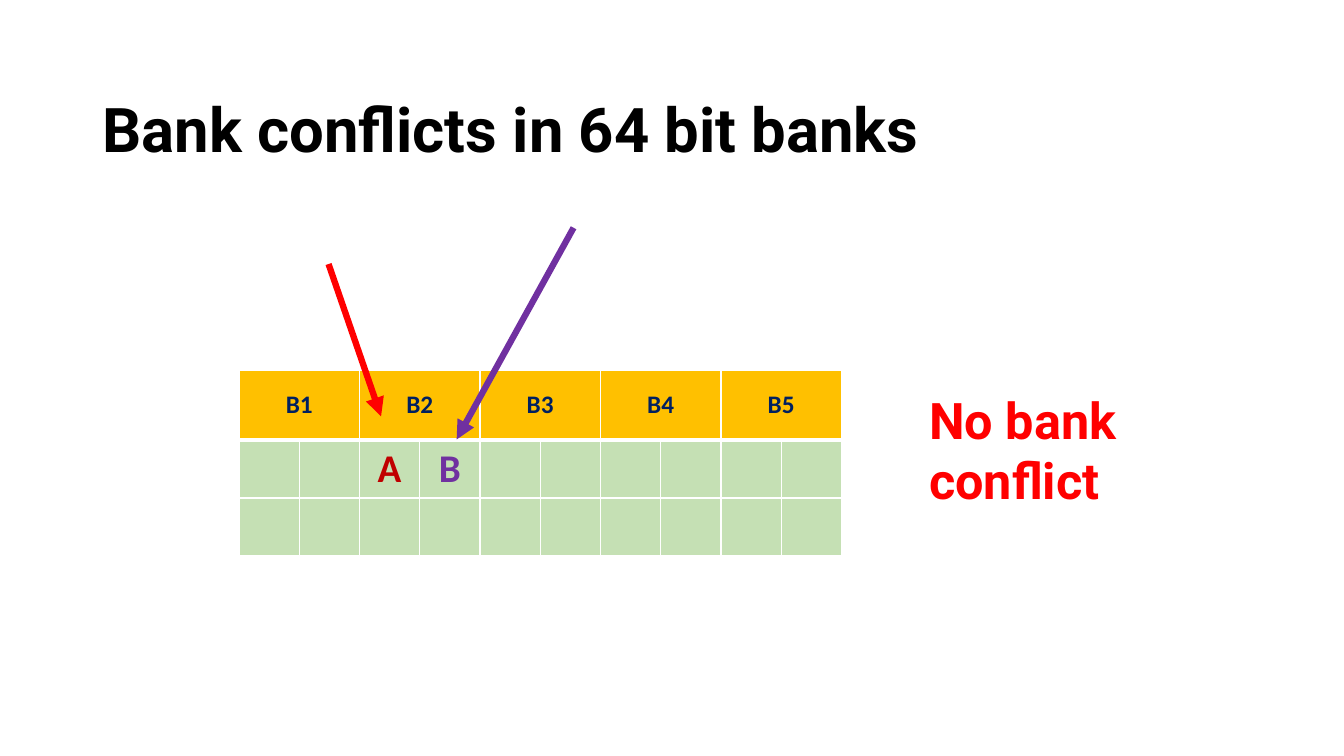
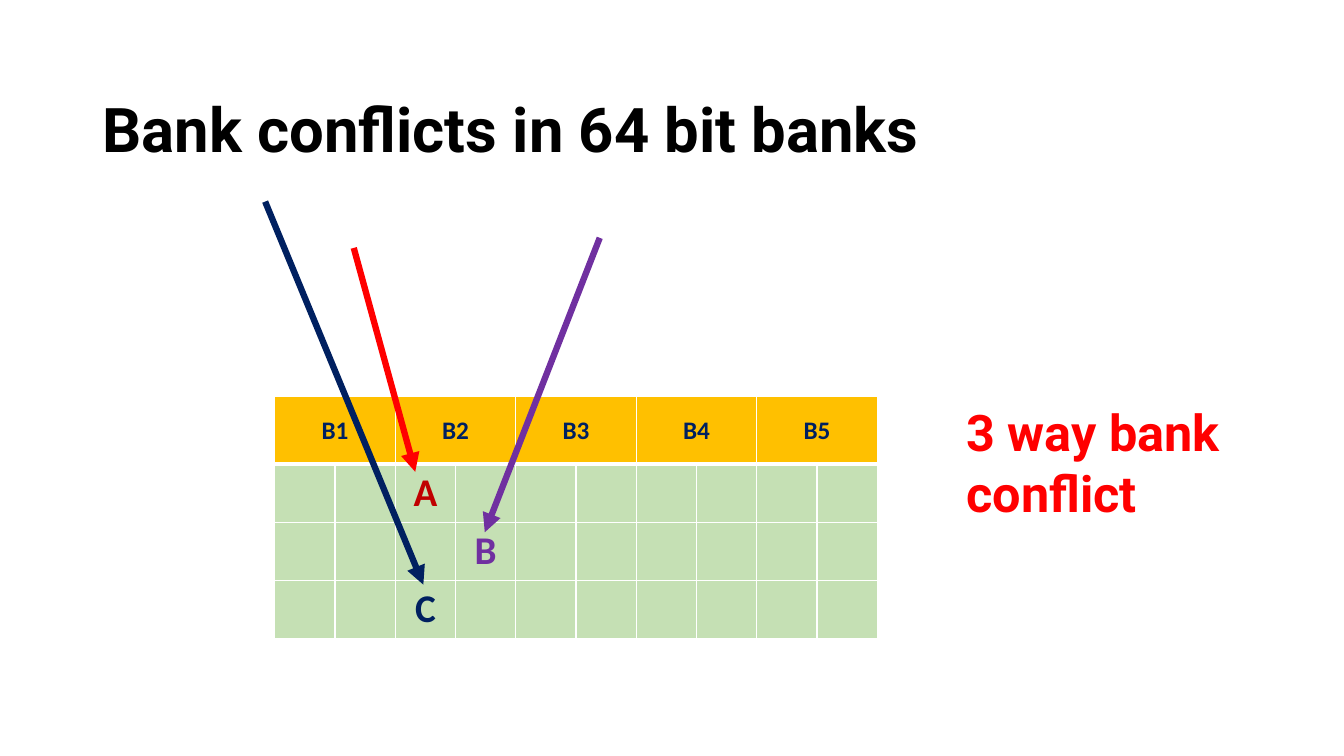
from dataclasses import dataclass

from lxml import etree
from pptx import Presentation
from pptx.dml.color import RGBColor
from pptx.enum.shapes import MSO_CONNECTOR
from pptx.enum.text import MSO_ANCHOR, MSO_AUTO_SIZE, PP_ALIGN
from pptx.oxml.ns import qn
from pptx.slide import Slide
from pptx.table import _Cell
from pptx.text.text import TextFrame
from pptx.util import Pt

STRAIGHT = MSO_CONNECTOR.STRAIGHT
LEFT, CENTER = PP_ALIGN.LEFT, PP_ALIGN.CENTER
TOP, MIDDLE = MSO_ANCHOR.TOP, MSO_ANCHOR.MIDDLE
NO_FIT, GROW = MSO_AUTO_SIZE.NONE, MSO_AUTO_SIZE.SHAPE_TO_FIT_TEXT

# Colours and fonts
BLACK = RGBColor(0x00, 0x00, 0x00)
WHITE = RGBColor(0xFF, 0xFF, 0xFF)
RED = RGBColor(0xFF, 0x00, 0x00)
CRIMSON = RGBColor(0xC0, 0x00, 0x00)
PURPLE = RGBColor(0x70, 0x30, 0xA0)
NAVY = RGBColor(0x00, 0x20, 0x60)
GOLD = RGBColor(0xFF, 0xC0, 0x00)
GREEN = RGBColor(0xC5, 0xE0, 0xB4)
HEAD_FONT, CELL_FONT = "Roboto", "Calibri"

# Grid of banks, each two words wide
TITLE = "Bank conflicts in 64 bit banks"
BANKS, WORDS = 5, 2
COL_W, ROW_H = 43.05, 41.4
THIN, THICK = 1, 3


@dataclass(frozen=True)
class Mark:
    """A letter in the grid; row 1 is the first under the header."""
    text: str
    row: int
    col: int
    color: RGBColor


@dataclass(frozen=True)
class Arrow:
    x1: float
    y1: float
    x2: float
    y2: float
    color: RGBColor


@dataclass(frozen=True)
class Case:
    left: float
    top: float
    head: float
    rows: int
    marks: list[Mark]
    arrows: list[Arrow]
    note: str
    note_at: tuple[float, float, float, float]


CASES = [
    Case(170.7, 264.3, 50, 2,
         [Mark("A", 1, 2, CRIMSON), Mark("B", 1, 3, PURPLE)],
         [Arrow(234.7, 188.6, 272.2, 297.4, RED),
          Arrow(409.7, 162.7, 326.2, 313.9, PURPLE)],
         "No bank conflict", (656.6, 274.3, 263.5, 51.1)),
    Case(196.3, 283.2, 48.5, 3,
         [Mark("A", 1, 2, CRIMSON), Mark("B", 2, 3, PURPLE),
          Mark("C", 3, 2, NAVY)],
         [Arrow(252.7, 177.1, 296.6, 337, RED),
          Arrow(428.4, 169.9, 346.3, 380.2, PURPLE),
          Arrow(189.4, 144, 302.4, 417.6, NAVY)],
         "3 way bank conflict", (683.3, 283, 263.5, 94.3)),
]


def write(frame: TextFrame, text: str, *, size: float, color: RGBColor,
          font: str = HEAD_FONT, align: PP_ALIGN = LEFT,
          spacing: float = 1.0) -> None:
    para = frame.paragraphs[0]
    para.alignment, para.line_spacing = align, spacing
    run = para.add_run()
    run.text = text
    run.font.name, run.font.size = font, Pt(size)
    run.font.bold, run.font.color.rgb = True, color


def add_title(slide: Slide) -> None:
    title = slide.shapes.title
    title.left, title.top = Pt(66), Pt(28.75)
    title.width, title.height = Pt(828), Pt(132.5)
    frame = title.text_frame
    frame.word_wrap, frame.auto_size = True, NO_FIT
    frame.vertical_anchor = MIDDLE
    write(frame, TITLE, size=44, color=BLACK, spacing=0.9)


def style_cell(cell: _Cell, fill: RGBColor, top: float, bottom: float) -> None:
    props = cell._tc.get_or_add_tcPr()
    sides = {"L": THIN, "R": THIN, "T": top, "B": bottom}
    for side, width in sides.items():
        line = etree.SubElement(props, qn(f"a:ln{side}"), w=str(Pt(width)))
        solid = etree.SubElement(line, qn("a:solidFill"))
        etree.SubElement(solid, qn("a:srgbClr"), val=str(WHITE))
    cell.fill.solid()
    cell.fill.fore_color.rgb = fill
    cell.vertical_anchor = MIDDLE


def add_grid(slide: Slide, case: Case) -> None:
    cols = BANKS * WORDS
    grid = slide.shapes.add_table(
        case.rows + 1, cols, Pt(case.left), Pt(case.top),
        Pt(cols * COL_W), Pt(case.head + case.rows * ROW_H)).table
    grid.horz_banding = False
    for col in grid.columns:
        col.width = Pt(COL_W)
    for r, row in enumerate(grid.rows):
        row.height = Pt(ROW_H if r else case.head)
        for cell in row.cells:
            style_cell(cell, GREEN if r else GOLD,
                       top=THICK if r == 1 else THIN,
                       bottom=THIN if r else THICK)
    for bank in range(BANKS):
        first = bank * WORDS
        cell = grid.cell(0, first)
        cell.merge(grid.cell(0, first + WORDS - 1))
        write(cell.text_frame, f"B{bank + 1}", size=18, color=NAVY,
              font=CELL_FONT, align=CENTER)
    for mark in case.marks:
        write(grid.cell(mark.row, mark.col).text_frame, mark.text, size=28,
              color=mark.color, font=CELL_FONT, align=CENTER)


def add_arrow(slide: Slide, arrow: Arrow) -> None:
    link = slide.shapes.add_connector(
        STRAIGHT, Pt(arrow.x1), Pt(arrow.y1), Pt(arrow.x2), Pt(arrow.y2))
    link.line.color.rgb, link.line.width = arrow.color, Pt(4.5)
    etree.SubElement(link.line._get_or_add_ln(), qn("a:tailEnd"),
                     type="triangle")
    etree.SubElement(link._element.spPr, qn("a:effectLst"))


def add_note(slide: Slide, case: Case) -> None:
    box = slide.shapes.add_textbox(*(Pt(n) for n in case.note_at))
    frame = box.text_frame
    frame.word_wrap, frame.auto_size = True, GROW
    frame.vertical_anchor = TOP
    write(frame, case.note, size=36, color=RED)


def main() -> None:
    deck = Presentation()
    deck.slide_width, deck.slide_height = Pt(960), Pt(540)
    layout = deck.slide_layouts.get_by_name("Title Only")
    for case in CASES:
        slide = deck.slides.add_slide(layout)
        add_title(slide)
        add_grid(slide, case)
        for arrow in case.arrows:
            add_arrow(slide, arrow)
        add_note(slide, case)
    deck.save("out.pptx")


main()
